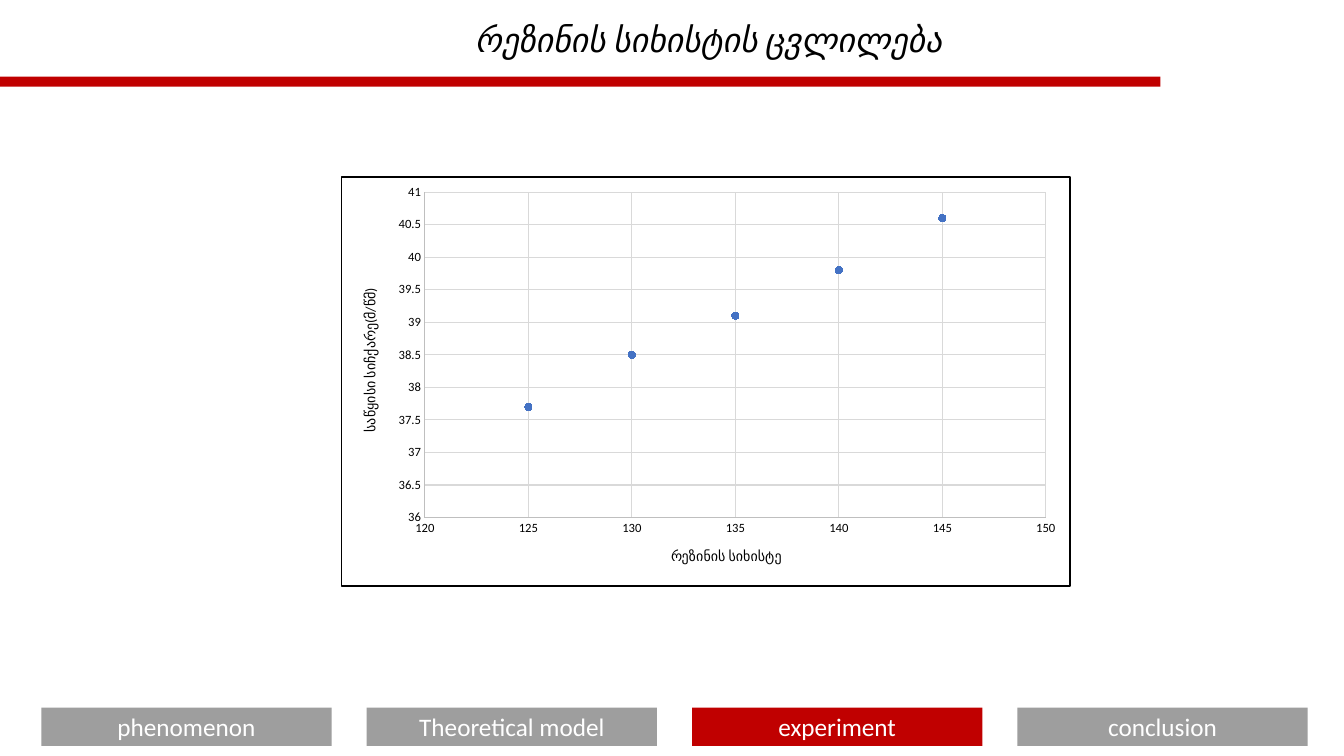
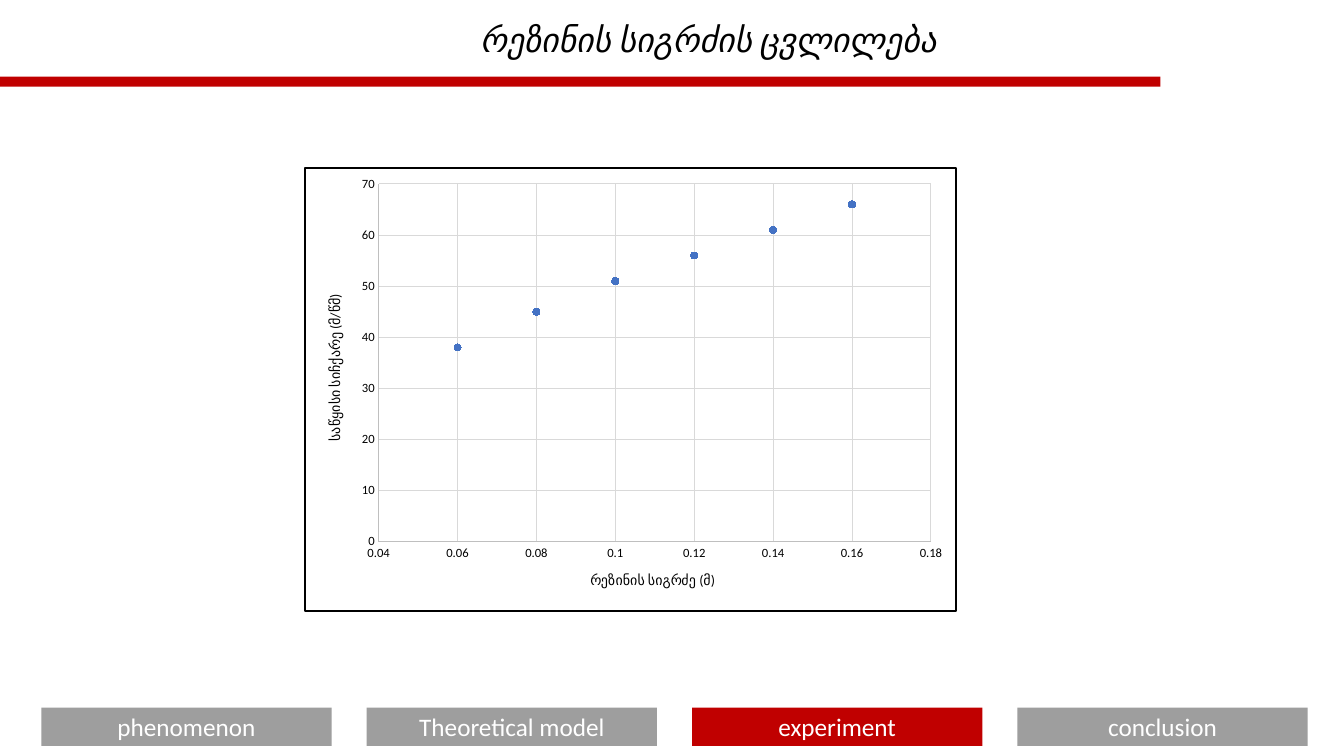
from itertools import cycle

from lxml import etree
from pptx import Presentation
from pptx.chart.data import XyChartData
from pptx.dml.color import RGBColor
from pptx.enum.chart import XL_CHART_TYPE as CT, XL_MARKER_STYLE as Marker, XL_TICK_MARK as Tick
from pptx.enum.shapes import MSO_SHAPE as Shape
from pptx.enum.text import MSO_ANCHOR as Anchor, MSO_AUTO_SIZE as AutoSize, PP_ALIGN as Align
from pptx.oxml import parse_xml
from pptx.oxml.ns import nsdecls, qn
from pptx.util import Inches, Pt

# Content
STAGES = ["phenomenon", "Theoretical model", "experiment", "conclusion"]
CURRENT = "experiment"
# Inches; "plot" and each "place" are measured from the chart's corner
SLIDES = [
    {
        "title": "რეზინის სიხისტის ცვლილება",
        "at": (3.38, 1.75, 7.24, 4.07),
        "plot": (0.83, 0.15, 6.17, 3.24),
        "points": [(125, 37.7), (130, 38.5), (135, 39.1), (140, 39.8), (145, 40.6)],
        "x": {"title": "რეზინის სიხისტე", "scale": (120, 150, 5), "place": (3.25, 3.66)},
        "y": {"title": "საწყისი სიჩქარე(მ/წმ)", "scale": (36, 41, 0.5), "place": (0.17, 1.08)},
    },
    {
        "title": "რეზინის სიგრძის ცვლილება",
        "at": (3.02, 1.66, 6.47, 4.41),
        "plot": (0.73, 0.16, 5.49, 3.56),
        "points": [(0.06, 38), (0.08, 45), (0.1, 51), (0.12, 56), (0.14, 61), (0.16, 66)],
        "x": {"title": "რეზინის სიგრძე (მ)", "scale": (0.04, 0.18, 0.02), "place": (2.81, 3.99)},
        "y": {"title": "საწყისი სიჩქარე (მ/წმ)", "scale": (0, 70, 10), "place": (0.18, 1.23)},
    },
]

# Shared look
COLORS = {"red": "C00000", "gray": "9E9E9E", "white": "FFFFFF", "black": "000000",
          "axis": "BFBFBF", "grid": "D9D9D9", "dot": "4472C4"}
FONTS = {
    "title": {"name": "Calibri", "size": Pt(24), "italic": True, "bold": False},
    "stage": {"name": "Calibri", "size": Pt(18)},
    "label": {"name": "Calibri", "size": Pt(10), "bold": False},
    "tick": {"name": "Calibri", "size": Pt(9)},
}
WIDTH, HEIGHT = 13.33, 7.5
TITLE = (3.99, 0.14, 6.08, 0.5)
BAND = (0, 0.76, 11.51, 0.1)
NAV_LEFT, NAV_RIGHT, NAV_TOP = 0.41, 12.97, 7.02
NAV_W, NAV_H = 2.88, 0.38


def rgb(key):
    return RGBColor.from_string(COLORS[key])


def set_font(font, style, color):
    for name, value in FONTS[style].items():
        setattr(font, name, value)
    font.color.rgb = rgb(color)


def set_line(line, color, width=0.75):
    line.color.rgb = rgb(color)
    line.width = Pt(width)


def write(p, text, style, color):
    r = p.add_run()
    r.text = text
    set_font(r.font, style, color)


def add_bar(slide, at, color):
    sp = slide.shapes.add_shape(Shape.RECTANGLE, *map(Inches, at))
    sp.shadow.inherit = False
    sp.fill.solid()
    sp.fill.fore_color.rgb = rgb(color)
    sp.line.fill.background()
    return sp


def build_layout(slide, layout):
    """Draw the shared bars on a slide, then move them to its layout."""
    for ph in list(layout.placeholders)[1:]:
        ph.element.getparent().remove(ph.element)
    # Footer navigation, evenly spread, and the band under the title
    step = (NAV_RIGHT - NAV_LEFT - NAV_W) / (len(STAGES) - 1)
    bars = [add_bar(slide, BAND, "red")]
    for i, stage in enumerate(STAGES):
        color = "red" if stage == CURRENT else "gray"
        sp = add_bar(slide, (NAV_LEFT + i * step, NAV_TOP, NAV_W, NAV_H), color)
        tf = sp.text_frame
        tf.vertical_anchor = Anchor.MIDDLE
        p = tf.paragraphs[0]
        p.alignment = Align.CENTER
        write(p, stage, "stage", "white")
        bars.append(sp)
    for number, sp in enumerate(bars, 20):
        sp.element.find(".//" + qn("p:cNvPr")).set("id", str(number))
        layout.shapes.element.append(sp.element)


def add_title(slide, text):
    sp = slide.shapes.title
    sp.left, sp.top, sp.width, sp.height = map(Inches, TITLE)
    tf = sp.text_frame
    tf.word_wrap = True
    tf.auto_size = AutoSize.SHAPE_TO_FIT_TEXT
    tf.vertical_anchor = Anchor.TOP
    p = tf.paragraphs[0]
    p.alignment = Align.CENTER
    write(p, text, "title", "black")


def place(el, index, at, size, inner=False):
    """Give a chart part a manual layout, as shares of the chart's size."""
    for old in el.findall(qn("c:layout")):
        el.remove(old)
    layout = etree.Element(qn("c:layout"))
    manual = etree.SubElement(layout, qn("c:manualLayout"))
    values = [("layoutTarget", "inner")] if inner else []
    values += [("xMode", "edge"), ("yMode", "edge")]
    values += [(tag, length / whole) for tag, length, whole in zip("xywh", at, cycle(size))]
    for tag, value in values:
        etree.SubElement(manual, qn("c:" + tag)).set("val", str(value))
    el.insert(index, layout)


def format_axis(axis, fmt):
    axis.minimum_scale, axis.maximum_scale, axis.major_unit = fmt["scale"]
    axis.major_tick_mark = axis.minor_tick_mark = Tick.NONE
    axis.has_major_gridlines = True
    set_line(axis.major_gridlines.format.line, "grid")
    set_line(axis.format.line, "axis")
    labels = axis.tick_labels
    labels.number_format, labels.number_format_is_linked = "General", False
    set_font(labels.font, "tick", "black")
    write(axis.axis_title.text_frame.paragraphs[0], fmt["title"], "label", "black")


def add_scatter(slide, data):
    cd = XyChartData()
    series = cd.add_series("Series 1")
    for x, y in data["points"]:
        series.add_data_point(x, y)
    chart = slide.shapes.add_chart(CT.XY_SCATTER, *map(Inches, data["at"]), cd).chart
    chart.has_legend = chart.has_title = False
    set_font(chart.font, "label", "black")
    format_axis(chart.category_axis, data["x"])
    format_axis(chart.value_axis, data["y"])

    # Round markers without a joining line
    plot = chart.plots[0]
    plot.vary_by_categories = False
    s = plot.series[0]
    s.format.line.fill.background()
    s.marker.style, s.marker.size = Marker.CIRCLE, 5
    s.marker.format.fill.solid()
    s.marker.format.fill.fore_color.rgb = rgb("dot")
    set_line(s.marker.format.line, "dot")

    # Places of the plot and the axis titles
    space, size = chart.element, data["at"][2:]
    place(space.find(".//" + qn("c:plotArea")), 0, data["plot"], size, inner=True)
    titles = space.findall(f'.//{qn("c:valAx")}/{qn("c:title")}')
    for title, axis in zip(titles, "xy"):
        place(title, 1, data[axis]["place"], size)

    # White ground and black frame
    frame = parse_xml(
        f'<c:spPr {nsdecls("c", "a")}>'
        f'<a:solidFill><a:srgbClr val="{COLORS["white"]}"/></a:solidFill>'
        f'<a:ln w="{Pt(1)}"><a:solidFill><a:srgbClr val="{COLORS["black"]}"/></a:solidFill></a:ln>'
        '</c:spPr>')
    space.find(qn("c:chart")).addnext(frame)


def main():
    prs = Presentation()
    prs.slide_width, prs.slide_height = Inches(WIDTH), Inches(HEIGHT)
    layout = prs.slide_layouts.get_by_name("Title Only")
    for i, data in enumerate(SLIDES):
        slide = prs.slides.add_slide(layout)
        if i == 0:
            build_layout(slide, layout)
        add_title(slide, data["title"])
        add_scatter(slide, data)
    prs.save("out.pptx")


if __name__ == "__main__":
    main()
